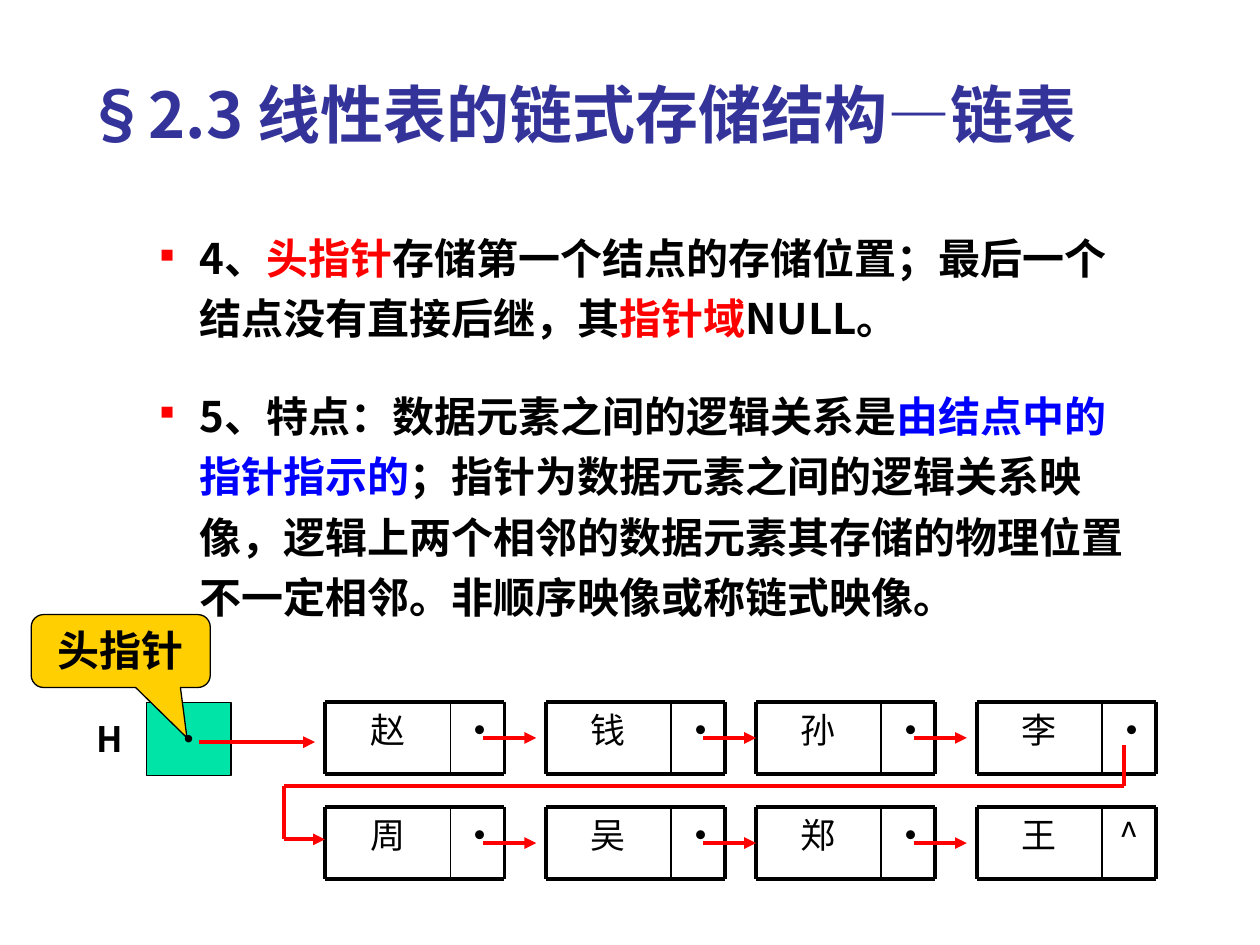
"""Build the slide on the linked storage structure of a linear list."""
from itertools import pairwise

from lxml.etree import SubElement
from pptx import Presentation
from pptx.dml.color import RGBColor
from pptx.enum.shapes import MSO_CONNECTOR, MSO_SHAPE
from pptx.enum.text import MSO_ANCHOR, PP_ALIGN
from pptx.oxml.ns import qn
from pptx.util import Cm, Pt

TITLE = "§2.3 线性表的链式存储结构—链表"
POINTS = [
    [("4、", "text"), ("头指针", "red"),
     ("存储第一个结点的存储位置；最后一个结点没有直接后继，其", "text"),
     ("指针域", "red"), ("NULL。", "text")],
    [("5、特点：数据元素之间的逻辑关系是", "text"),
     ("由结点中的指针指示的", "blue"),
     ("；指针为数据元素之间的逻辑关系映像，逻辑上两个相邻的数据元素"
      "其存储的物理位置不一定相邻。非顺序映像或称链式映像。", "text")],
]
NODE_ROWS = [("赵", "钱", "孙", "李"), ("周", "吴", "郑", "王")]
POINTER, END_MARK = "•", "^"
HEAD_LABEL, CALLOUT = "H", "头指针"

THEME = {
    "colors": {
        "title": RGBColor(0x33, 0x33, 0x99), "text": RGBColor(0, 0, 0),
        "red": RGBColor(0xFF, 0, 0), "blue": RGBColor(0, 0, 0xFF),
        "green": RGBColor(0, 0xE4, 0xA8), "yellow": RGBColor(0xFF, 0xCF, 0x01),
    },
    "fonts": {
        "title": {"name": "Noto Sans CJK SC", "size": Pt(36), "bold": True},
        "body": {"name": "Noto Sans CJK SC", "size": Pt(24), "bold": True},
        "node": {"name": "Noto Sans CJK SC", "size": Pt(20), "bold": False},
        "label": {"name": "Noto Sans CJK SC", "size": Pt(20), "bold": True},
        "callout": {"name": "Lato", "size": Pt(24), "bold": True},
    },
    "lines": {"thick": Pt(2.25), "thin": Pt(1), "outline": Pt(0.75)},
}
NODE_LEFTS, NODE_TOPS = (6.56, 11, 15.24, 19.69), (14.15, 16.27)
NODE_WIDTH, DATA_WIDTH, NODE_HEIGHT = 3.61, 2.52, 1.45
ARROW_OFFSET, ARROW_LENGTH = 3.18, 1.07
HEAD_ARROW = [(4.01, 14.96), (6.35, 14.96)]
RETURN_ROUTE = [(22.66, 15.01), (22.66, 15.85), (5.72, 15.85), (5.72, 16.92), (6.55, 16.92)]
CENTERED = {"alignment": PP_ALIGN.CENTER}
MIDDLE = {"vertical_anchor": MSO_ANCHOR.MIDDLE, "word_wrap": False}


def apply(target, values):
    for name, value in values.items():
        setattr(target, name, value)


def add_span(para, text, font, color="text"):
    span = para.add_run()
    span.text = text
    apply(span.font, THEME["fonts"][font])
    span.font.color.rgb = THEME["colors"][color]
    SubElement(span.font._element, qn("a:ea"), typeface=THEME["fonts"][font]["name"])


def write(box, text, font, color="text", frame=None, paragraph=CENTERED):
    apply(box.text_frame, {"word_wrap": True, **(frame or {})})
    para = box.text_frame.paragraphs[0]
    apply(para, paragraph)
    add_span(para, text, font, color)


def add_box(page, left, top, width, height):
    return page.shapes.add_textbox(Cm(left), Cm(top), Cm(width), Cm(height))


def add_filled(page, kind, area, fill):
    shape = page.shapes.add_shape(kind, *map(Cm, area))
    shape.shadow.inherit = False
    shape.fill.solid()
    shape.fill.fore_color.rgb = THEME["colors"][fill]
    shape.line.color.rgb = THEME["colors"]["text"]
    shape.line.width = THEME["lines"]["outline"]
    return shape


def add_line(page, start, end, color="text", weight="thick", arrow=False):
    line = page.shapes.add_connector(MSO_CONNECTOR.STRAIGHT, *map(Cm, (*start, *end)))
    line.line.color.rgb = THEME["colors"][color]
    line.line.width = THEME["lines"][weight]
    if arrow:
        SubElement(line.line._get_or_add_ln(), qn("a:tailEnd"), type="triangle")
    SubElement(line._element.spPr, qn("a:effectLst"))
    return line


def add_points(page):
    frame = add_box(page, 1.71, 4.36, 21.59, 9.5).text_frame
    frame.word_wrap = True
    for index, spans in enumerate(POINTS):
        para = frame.add_paragraph() if index else frame.paragraphs[0]
        apply(para, {"line_spacing": 1.2, "space_before": Pt(21 if index else 0)})
        layout = para._p.get_or_add_pPr()
        for name, value in {"marL": Cm(2.06), "indent": Cm(-0.79), "hangingPunct": 0}.items():
            layout.set(name, str(value))
        tint = SubElement(layout, qn("a:buClr"))
        SubElement(tint, qn("a:srgbClr"), val=str(THEME["colors"]["red"]))
        SubElement(layout, qn("a:buSzPct"), val="45000")
        SubElement(layout, qn("a:buChar"), char="■")
        for text, color in spans:
            add_span(para, text, "body", color)


def add_node(page, left, top, name, mark):
    right, bottom, divider = left + NODE_WIDTH, top + NODE_HEIGHT, left + DATA_WIDTH
    pointer = add_box(page, divider, top, NODE_WIDTH - DATA_WIDTH, NODE_HEIGHT)
    write(pointer, mark, "node" if mark == END_MARK else "label")
    data = add_box(page, left, top, DATA_WIDTH, NODE_HEIGHT)
    write(data, name, "node")
    for y in (top, bottom):
        add_line(page, (left, y), (right, y))
    for x, weight in ((left, "thick"), (divider, "thin"), (right, "thick")):
        add_line(page, (x, top), (x, bottom), weight=weight)
    return data


def add_list(page):
    for top, names in zip(NODE_TOPS, NODE_ROWS):
        last_mark = END_MARK if top == NODE_TOPS[-1] else POINTER
        marks = [POINTER] * (len(names) - 1) + [last_mark]
        cells = [add_node(page, left, top, name, mark)
                 for left, name, mark in zip(NODE_LEFTS, names, marks)]
        middle = top + NODE_HEIGHT / 2
        for left, target in zip(NODE_LEFTS, cells[1:]):
            start = left + ARROW_OFFSET
            end = start + ARROW_LENGTH
            arrow = add_line(page, (start, middle), (end, middle), "red", arrow=True)
            if abs(Cm(end) - target.left) < Cm(0.1):
                arrow.end_connect(target, 1)


def add_head(page):
    head = add_filled(page, MSO_SHAPE.RECTANGLE, (2.96, 14.16, 1.7, 1.47), "green")
    write(head, POINTER, "node", frame=MIDDLE)
    write(add_box(page, 1.47, 14.15, 1.47, 1.47), HEAD_LABEL, "label", frame=MIDDLE)
    for route in (HEAD_ARROW, RETURN_ROUTE):
        for start, end in pairwise(route):
            add_line(page, start, end, "red", arrow=end == route[-1])
    callout = add_filled(page, MSO_SHAPE.ROUNDED_RECTANGULAR_CALLOUT,
                         (0.63, 12.39, 3.61, 1.47), "yellow")
    for index, value in enumerate((0.37, 1.19, 0.17)):
        callout.adjustments[index] = value
    write(callout, CALLOUT, "callout", frame={"vertical_anchor": MSO_ANCHOR.TOP})


def main():
    deck = Presentation()
    apply(deck, {"slide_width": Cm(25.4), "slide_height": Cm(19.05)})
    page = deck.slides.add_slide(deck.slide_layouts[6])
    write(add_box(page, 1.48, 0.53, 22.68, 2.64), TITLE, "title", "title",
          {"vertical_anchor": MSO_ANCHOR.BOTTOM}, {"alignment": PP_ALIGN.LEFT})
    add_points(page)
    add_list(page)
    add_head(page)
    deck.save("out.pptx")


if __name__ == "__main__":
    main()
